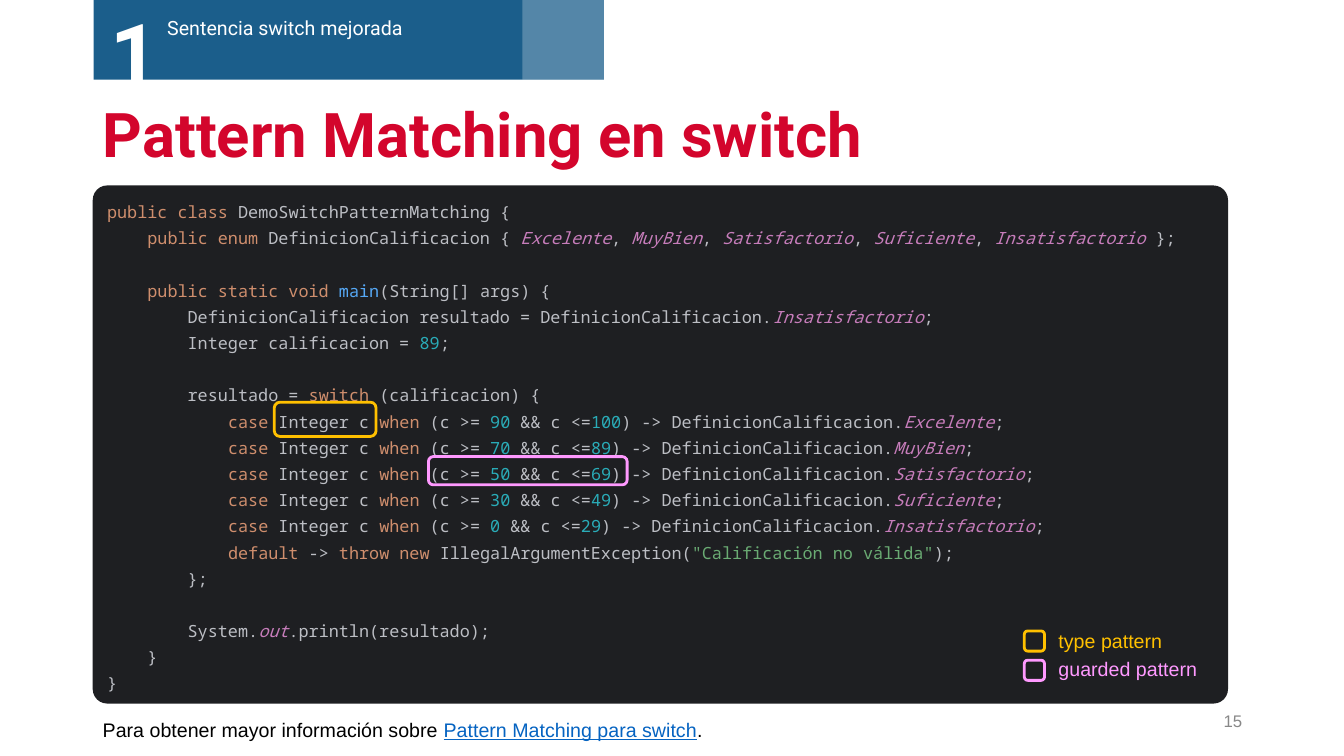
from copy import deepcopy
from lxml import etree
from pptx import Presentation
from pptx import util as u
from pptx.dml.color import RGBColor
from pptx.enum import shapes, text
from pptx.oxml.ns import qn

PX = 9144
WHITE, NAVY, RED, DARK = "FFFFFF", "1B5E8B", "D3052C", "1E1F22"
GOLD, PINK = "FFC000", "FF99FF"
MONO, SANS, HEAD = "Noto Sans Mono", "Arial", "Roboto"
KEY = dict(color="CF8E6D")
BASE = dict(color="BCBEC4")
NUM = dict(color="2AACB8")
NAME = dict(color="C77DBB", italic=True)
FUNC = dict(color="56A8F5")
QUOTE = dict(color="6AAB73")
RECT, ROUND = shapes.MSO_SHAPE.RECTANGLE, shapes.MSO_SHAPE.ROUNDED_RECTANGLE


def rgb(code):
    return RGBColor.from_string(code)


def write(para, words, font=SANS, size=14, color="000000", bold=False,
          italic=False, under=False):
    for row, line in enumerate(words.split("\n")):
        if row:
            para.add_line_break()
            para._p[-1].append(deepcopy(para.runs[-1]._r.rPr))
        if line:
            run = para.add_run()
            run.text = line
            face = run.font
            face.name, face.size = font, u.Pt(size)
            face.bold, face.italic, face.underline = bold, italic, under
            face.color.rgb = rgb(color)


class Deck:
    def __init__(self):
        self.file = Presentation()
        self.file.slide_width, self.file.slide_height = 1333 * PX, 750 * PX
        self.slide = self.file.slides.add_slide(self.file.slide_layouts[1])
        self.into = self.slide.shapes

    def group(self):
        self.into = self.slide.shapes.add_group_shape().shapes

    def leave(self):
        self.into = self.slide.shapes

    def holder(self, item, box, gap):
        item.left, item.top, item.width, item.height = [n * PX for n in box]
        frame = item.text_frame
        frame.auto_size = text.MSO_AUTO_SIZE.NONE
        frame.vertical_anchor = text.MSO_ANCHOR.MIDDLE
        para = frame.paragraphs[0]
        para.alignment = text.PP_ALIGN.LEFT
        para.line_spacing = gap
        para.space_before = u.Pt(0)
        return para

    def title(self, words, box):
        para = self.holder(self.slide.shapes.title, box, 0.9)
        write(para, words, font=HEAD, size=44, color=RED, bold=True)

    def code(self, parts, box):
        item = self.slide.placeholders[1]
        para = self.holder(item, box, 1.3)
        geom = etree.SubElement(item._element.spPr, qn("a:prstGeom"), prst="roundRect")
        guide = etree.SubElement(geom, qn("a:avLst"))
        etree.SubElement(guide, qn("a:gd"), name="adj", fmla="val 2800")
        item.fill.solid()
        item.fill.fore_color.rgb = rgb(DARK)
        props = para._p.get_or_add_pPr()
        props.set("marL", "0")
        props.set("indent", "0")
        etree.SubElement(props, qn("a:buNone"))
        for words, look in parts:
            write(para, words, font=MONO, size=12, **look)

    def label(self, parts, box, right=False, middle=False, **look):
        frame = self.into.add_textbox(*[n * PX for n in box]).text_frame
        frame.word_wrap = True
        if middle:
            frame.vertical_anchor = text.MSO_ANCHOR.MIDDLE
        para = frame.paragraphs[0]
        if right:
            para.alignment = text.PP_ALIGN.RIGHT
        for words, extra in parts:
            write(para, words, **{**look, **extra})

    def block(self, box, color, alpha=None):
        item = self.into.add_shape(RECT, *[n * PX for n in box])
        item.shadow.inherit = False
        item.fill.solid()
        item.fill.fore_color.rgb = rgb(color)
        item.line.fill.background()
        if alpha:
            tint = item._element.spPr.find(qn("a:solidFill"))[0]
            etree.SubElement(tint, qn("a:alpha"), val=str(alpha * 1000))

    def ring(self, box, color):
        item = self.into.add_shape(ROUND, *[n * PX for n in box])
        item.shadow.inherit = False
        item.fill.background()
        item.line.color.rgb = rgb(color)
        item.line.width = u.Pt(2)


def source():
    grades = ["Excelente", "MuyBien", "Satisfactorio", "Suficiente", "Insatisfactorio"]
    limits = [(90, 100), (70, 89), (50, 69), (30, 49), (0, 29)]
    parts = [("public class ", KEY), ("DemoSwitchPatternMatching {\n    ", BASE),
             ("public enum ", KEY), ("DefinicionCalificacion { ", BASE)]
    for grade in grades:
        parts += [(grade, NAME), (" };" if grade == grades[-1] else ", ", BASE)]
    parts += [("\n\n    ", BASE), ("public static void ", KEY), ("main", FUNC),
              ("(String[] args) {\n        DefinicionCalificacion resultado"
               " = DefinicionCalificacion.", BASE),
              ("Insatisfactorio", NAME),
              (";\n        Integer calificacion = ", BASE), ("89", NUM),
              (";\n\n        resultado = ", BASE), ("switch ", KEY),
              ("(calificacion) {\n            ", BASE)]
    for grade, (low, high) in zip(grades, limits):
        parts += [("case ", KEY), ("Integer c ", BASE), ("when ", KEY),
                  ("(c >= ", BASE), (f"{low} ", NUM), ("&& c <=", BASE),
                  (f"{high}", NUM), (") -> DefinicionCalificacion.", BASE),
                  (grade, NAME), (";\n            ", BASE)]
    return parts + [("default ", KEY), ("-> ", BASE), ("throw new ", KEY),
                    ("IllegalArgumentException(", BASE),
                    ('"Calificación no válida"', QUOTE),
                    (");\n        };\n\n        System.", BASE), ("out", NAME),
                    (".println(resultado);\n    }\n}", BASE)]


def main():
    deck = Deck()
    deck.title("Pattern Matching en switch", (92, 93, 1150, 86))
    deck.code(source(), (92, 184, 1126, 514))
    deck.label([("15", {})], (942, 695, 300, 40), right=True, middle=True,
               size=12, color="888888")

    deck.group()
    deck.block((93, -1, 506, 80), NAVY)
    deck.label([("Sentencia switch mejorada", {})], (156, 11, 335, 34),
               font=HEAD, color=WHITE)
    deck.label([("1", {})], (100, -4, 112, 111), font=HEAD, size=60,
               color=WHITE, bold=True)
    deck.block((518, -1, 81, 80), WHITE, alpha=25)
    deck.leave()

    deck.label([("Para obtener mayor información sobre ", {}),
                ("Pattern Matching para switch", dict(color="0563C1", under=True)),
                (".", {})], (92, 707, 669, 34))
    deck.ring((272, 399, 101, 34), GOLD)
    deck.ring((425, 453, 197, 28), PINK)

    deck.group()
    for row, (words, color) in enumerate([("type pattern", GOLD), ("guarded pattern", PINK)]):
        deck.ring((1016, 626 + 29 * row, 20, 20), color)
        deck.label([(words, {})], (1040, 619 + 28 * row, 204, 34), color=color)
    deck.leave()
    deck.file.save("out.pptx")


if __name__ == "__main__":
    main()
